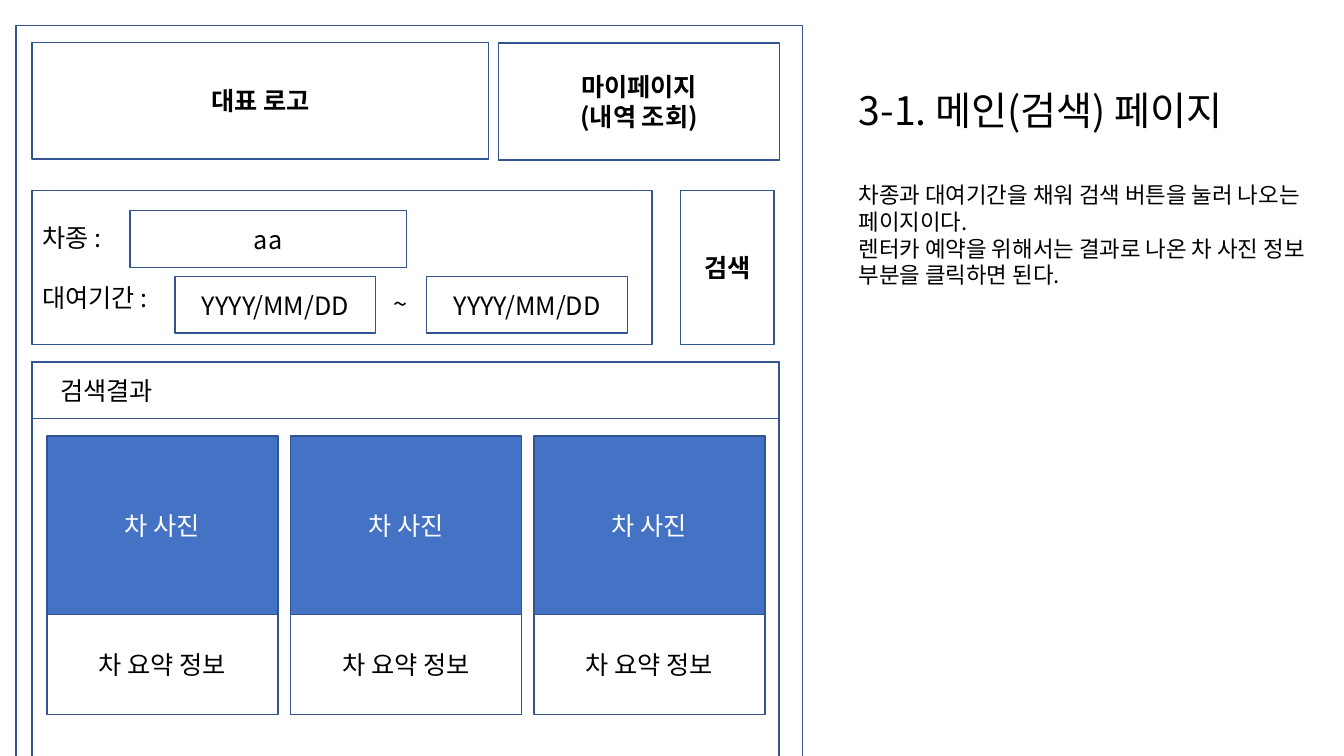
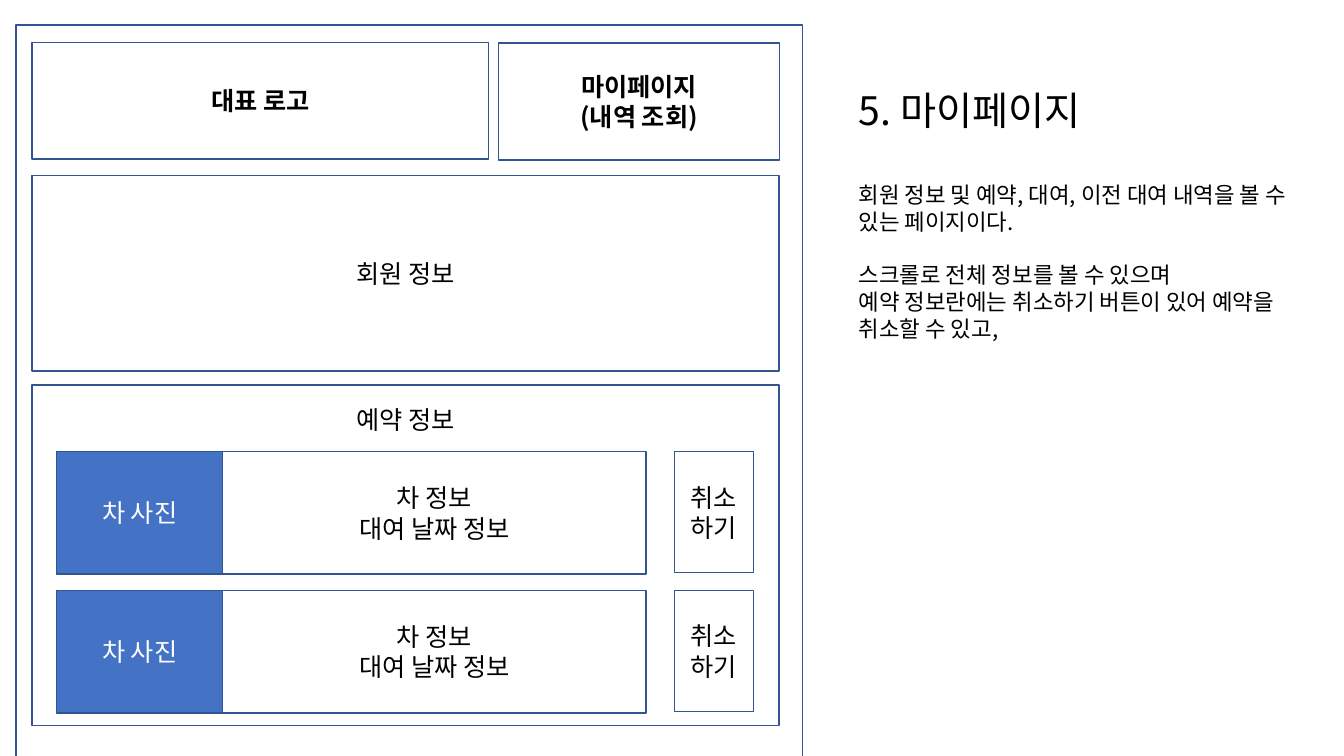
from lxml import etree
from pptx import Presentation
from pptx.dml.color import RGBColor
from pptx.enum.shapes import MSO_SHAPE
from pptx.enum.text import MSO_ANCHOR, MSO_AUTO_SIZE, PP_ALIGN
from pptx.oxml.ns import qn
from pptx.util import Pt

RECTANGLE = MSO_SHAPE.RECTANGLE
TOP, MIDDLE = MSO_ANCHOR.TOP, MSO_ANCHOR.MIDDLE
LEFT, CENTER = PP_ALIGN.LEFT, PP_ALIGN.CENTER
NO_AUTOFIT = MSO_AUTO_SIZE.NONE

FONT = "Noto Sans CJK KR"
BLACK, WHITE, BLUE, OUTLINE = "000000", "FFFFFF", "4472C4", "325491"
TITLE_LAYOUT = 1
TEXT_SIZE, TITLE_SIZE, NOTE_SIZE = 18, 28, 16
LINE_FACTOR = 1.2
PAGE_LEFT, PAGE_WIDTH = 23, 533.6
NOTES_LEFT, NOTES_WIDTH = 606.2, 342


def rgb(value):
    return RGBColor.from_string(value)


def format_paragraph(para, size, color=BLACK, bold=False, align=CENTER, before=0):
    para.alignment = align
    para.space_before = Pt(before)
    font = para.font
    font.name = FONT
    font.size = Pt(size)
    font.bold = bold
    font.color.rgb = rgb(color)
    defaults = para._p.get_or_add_pPr().find(qn("a:defRPr"))
    etree.SubElement(defaults, qn("a:ea")).set("typeface", FONT)


def write_lines(frame, lines, size=TEXT_SIZE, gaps=None, **style):
    gaps = gaps or {}
    for index, line in enumerate(lines):
        para = frame.add_paragraph() if index else frame.paragraphs[0]
        para.text = line
        format_paragraph(para, size, before=gaps.get(index, 0), **style)


def add_box(page, left, top, width, height, *lines, fill=None, line=OUTLINE,
            anchor=MIDDLE, inset_left=7.2, inset_top=3.6, **style):
    box = page.shapes.add_shape(RECTANGLE, Pt(left), Pt(top), Pt(width), Pt(height))
    box.shadow.inherit = False
    if fill:
        box.fill.solid()
        box.fill.fore_color.rgb = rgb(fill)
    else:
        box.fill.background()
    if line:
        box.line.color.rgb = rgb(line)
        box.line.width = Pt(1)
    else:
        box.line.fill.background()
    frame = box.text_frame
    frame.word_wrap = True
    frame.vertical_anchor = anchor
    frame.margin_left, frame.margin_top = Pt(inset_left), Pt(inset_top)
    write_lines(frame, lines, **style)


def add_photo(page, left, top, width, height):
    add_box(page, left, top, width, height, "차 사진", fill=BLUE, color=WHITE)


def fill_placeholder(holder, top, height, lines, size, gaps=None):
    holder.left, holder.top = Pt(NOTES_LEFT), Pt(top)
    holder.width, holder.height = Pt(NOTES_WIDTH), Pt(height)
    frame = holder.text_frame
    frame.word_wrap = True
    frame.auto_size = NO_AUTOFIT
    frame.vertical_anchor = TOP
    write_lines(frame, lines, size, gaps, align=LEFT)
    for para in frame.paragraphs:
        properties = para._p.get_or_add_pPr()
        properties.set("marL", "0")
        properties.set("indent", "0")
        bullet = etree.Element(qn("a:buNone"))
        properties.find(qn("a:defRPr")).addprevious(bullet)


def add_page(deck, title, notes, window_height, gaps=None):
    page = deck.slides.add_slide(deck.slide_layouts[TITLE_LAYOUT])
    fill_placeholder(page.shapes.title, 58.3, 45, [title], TITLE_SIZE)
    fill_placeholder(page.placeholders[1], 125.7, 140, notes, NOTE_SIZE, gaps)
    add_box(page, 11.5, 18, 561.6, window_height)
    add_box(page, PAGE_LEFT, 30.2, 326.2, 83.5, "대표 로고", bold=True)
    add_box(page, 356.2, 30.8, 200.6, 83.5, "마이페이지", "(내역 조회)", bold=True)
    return page


def add_search_form(page):
    add_box(page, PAGE_LEFT, 136, 442.8, 110.2, "차종 :", "대여기간 :",
            align=LEFT, gaps={1: TEXT_SIZE * LINE_FACTOR})
    add_box(page, 486, 136, 67, 110.2, "검색", bold=True)
    add_box(page, 92.8, 150.5, 197.4, 40.4, "aa")
    for left in (125, 304.8):
        add_box(page, left, 197.6, 143.4, 40.4, "YYYY/MM/DD")
    add_box(page, 274.3, 202.3, 24, 28.8, "~", line=None, align=LEFT)


def add_search_results(page):
    top = 258.5
    add_box(page, PAGE_LEFT, top, PAGE_WIDTH, 287.3)
    add_box(page, PAGE_LEFT, top, PAGE_WIDTH, 40.4, "검색결과",
            align=LEFT, inset_left=20.2)
    for column in range(3):
        left = 33.6 + column * 173.9
        add_box(page, left, 439, 165, 71.3, "차 요약 정보")
        add_photo(page, left, 311.5, 165, 127.5)


def add_reservations(page):
    add_box(page, PAGE_LEFT, 275, PAGE_WIDTH, 243.4, "예약 정보",
            anchor=TOP, inset_top=13.5)
    for row in range(2):
        top = 322.6 + row * 99.2
        add_photo(page, 40.5, top, 118.5, 87.4)
        add_box(page, 159, top, 302.6, 87.4, "차 정보", "대여 날짜 정보")
        add_box(page, 481.7, top, 56.4, 86.4, "취소", "하기")


def main():
    deck = Presentation()
    deck.slide_width, deck.slide_height = Pt(960), Pt(540)

    search = add_page(deck, "3-1. 메인(검색) 페이지", [
        "차종과 대여기간을 채워 검색 버튼을 눌러 나오는 페이지이다.",
        "렌터카 예약을 위해서는 결과로 나온 차 사진 정보 부분을 클릭하면 된다.",
    ], 579.6)
    add_search_form(search)
    add_search_results(search)

    account = add_page(deck, "5. 마이페이지", [
        "회원 정보 및 예약, 대여, 이전 대여 내역을 볼 수 있는 페이지이다.",
        "스크롤로 전체 정보를 볼 수 있으며",
        "예약 정보란에는 취소하기 버튼이 있어 예약을 취소할 수 있고,",
    ], 542.2, {1: NOTE_SIZE * LINE_FACTOR})
    add_box(account, PAGE_LEFT, 125.5, PAGE_WIDTH, 139.7, "회원 정보")
    add_reservations(account)

    deck.save("out.pptx")


if __name__ == "__main__":
    main()
